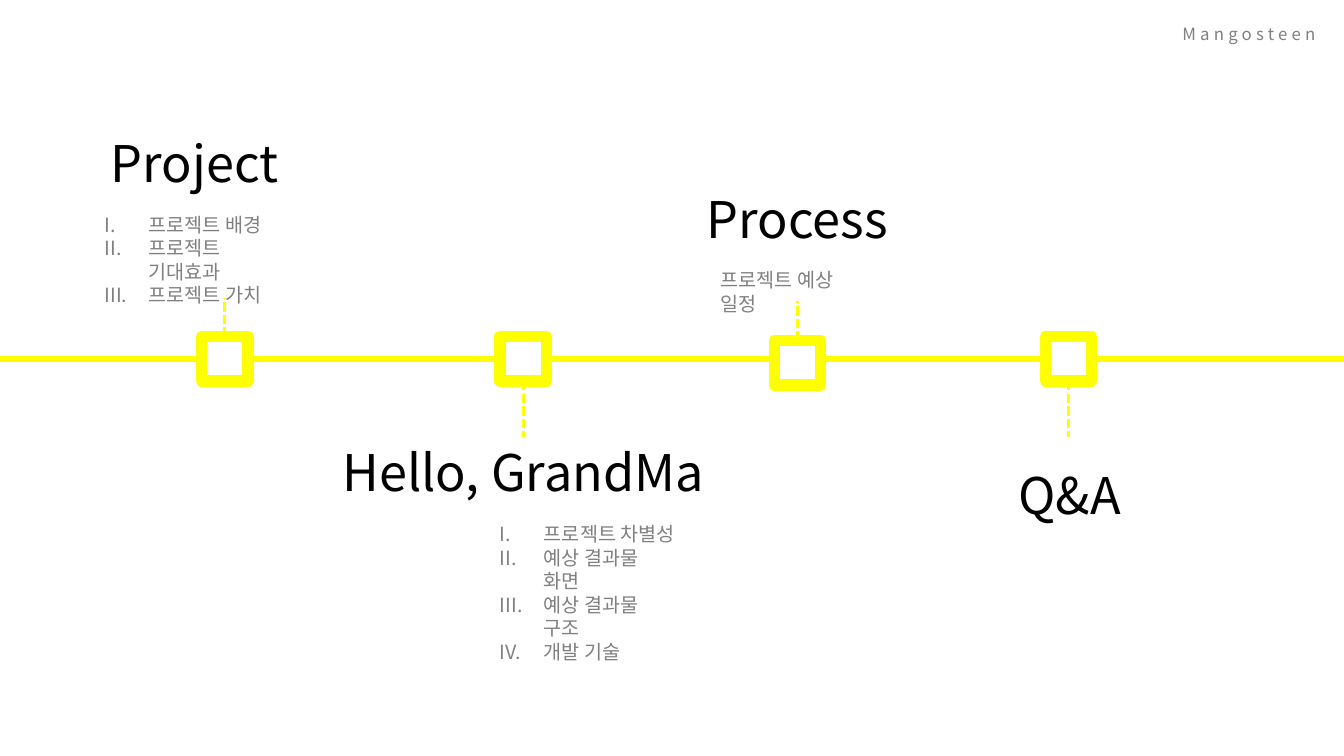
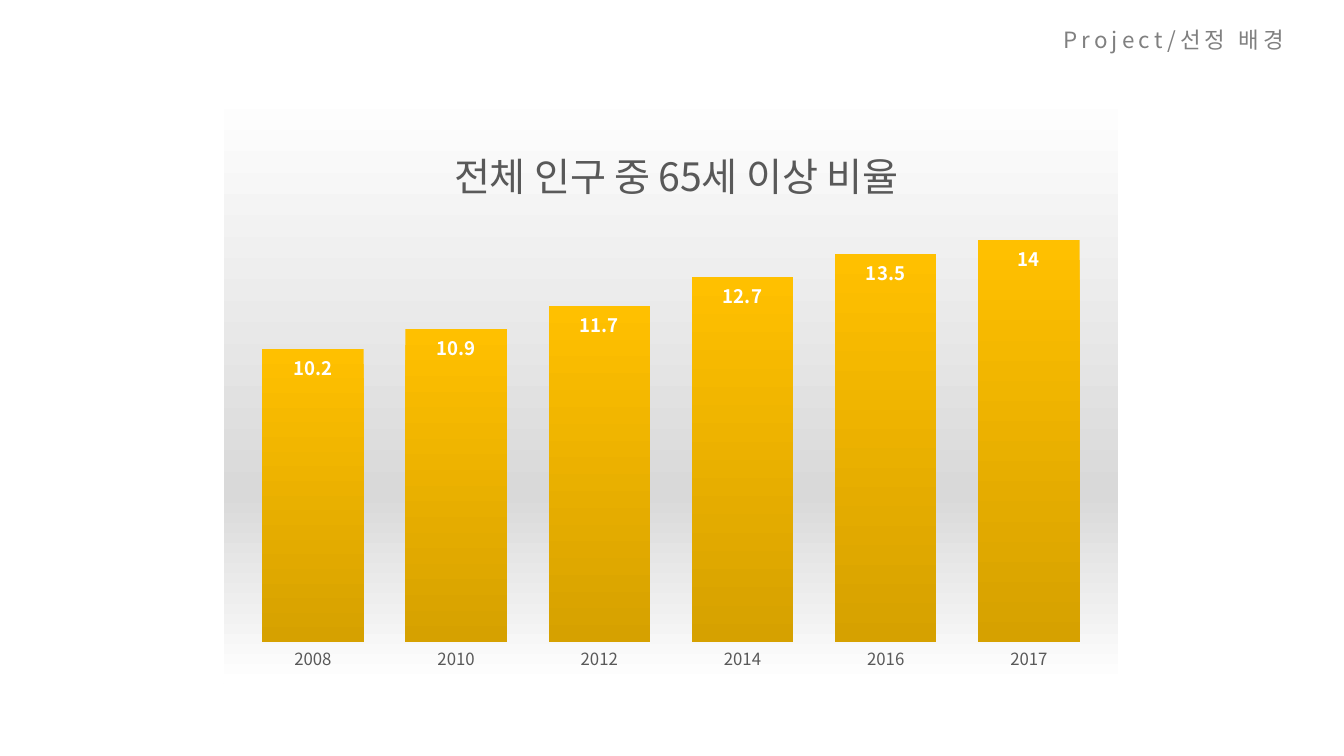
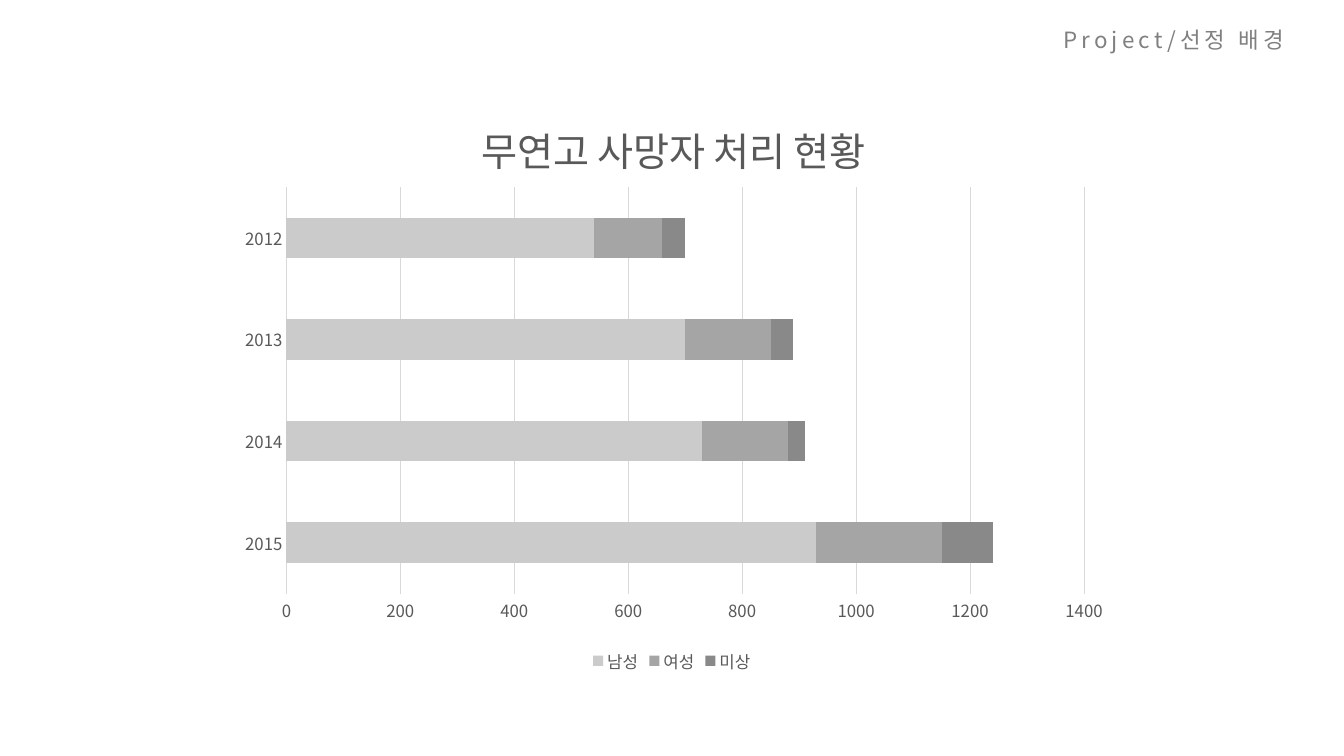
import pptx
import pptx.util
import pptx.chart.data
import pptx.dml.color
import pptx.enum.chart
import pptx.enum.dml
import pptx.enum.shapes
import pptx.enum.text
import pptx.oxml
import pptx.oxml.ns
from lxml import etree

Pt = pptx.util.Pt
qn = pptx.oxml.ns.qn
kinds = pptx.enum.chart
face = "Noto Sans CJK KR"
hues = {
    "white": "FFFFFF", "black": "000000", "gray": "808080", "sun": "FFFF00",
    "ink": "595959", "rule": "D9D9D9", "gold": "FFC000", "ochre": "D6A100",
    "pale": "CBCBCB", "mid": "A5A5A5", "dark": "898989",
}
tint = {name: pptx.dml.color.RGBColor.from_string(hue) for name, hue in hues.items()}

deck = pptx.Presentation()
deck.slide_width = pptx.util.Inches(13.33)
deck.slide_height = pptx.util.Inches(7.5)
col = deck.slide_width / 100
row = deck.slide_height / 100
slides = [deck.slides.add_slide(deck.slide_layouts[6]) for _ in range(3)]
center = pptx.enum.text.PP_ALIGN.CENTER


def write(slide, area, lines, size, hue, align=None, wrap=False, roman=False, gap=None):
    x, y, wide, tall = area
    box = slide.shapes.add_textbox(int(x * col), int(y * row), int(wide * col), int(tall * row))
    frame = box.text_frame
    frame.word_wrap = wrap
    for num, line in enumerate(lines):
        para = frame.paragraphs[0] if num == 0 else frame.add_paragraph()
        para.alignment = align
        if roman:
            props = para._p.get_or_add_pPr()
            props.set("marL", "400050")
            props.set("indent", "-400050")
            etree.SubElement(props, qn("a:buAutoNum"), type="romanUcPeriod")
        run = para.add_run()
        run.text = line
        run.font.name = face
        run.font.size = Pt(size)
        run.font.color.rgb = tint[hue]
        if gap:
            run._r.get_or_add_rPr().set("spc", str(gap * 100))


def draw(slide, x, y, end, base, width, dash=None):
    line = slide.shapes.add_connector(
        pptx.enum.shapes.MSO_CONNECTOR.STRAIGHT,
        int(x * col), int(y * row), int(end * col), int(base * row))
    line.line.color.rgb = tint["sun"]
    line.line.width = Pt(width)
    line.line.dash_style = dash
    etree.SubElement(line.element.spPr, qn("a:effectLst"))


write(slides[0], (86.93, 2.53, 12, 4), ["Mangosteen"], 12, "gray", center, gap=3)
for slide in slides[1:]:
    write(slide, (77.55, 2.8, 19.58, 4.93), ["Project/선정 배경"], 16, "gray", center, gap=3)

plan = slides[0]
draw(plan, 0, 47.47, 100, 47.47, 4.5)
side, high = 3.45, 5.87
stops = [
    (16.73, 44.53, 39.47, "Project", (7.35, 16.8, 14.25, 9.47),
     ["프로젝트 배경", "프로젝트 기대효과", "프로젝트 가치"], (7.05, 27.47, 15, 10.8)),
    (38.93, 44.53, 57.87, "Hello, GrandMa", (24.68, 57.73, 28.5, 9.47),
     ["프로젝트 차별성", "예상 결과물 화면", "예상 결과물 구조", "개발 기술"],
     (36.45, 68.4, 14.63, 13.87)),
    (59.33, 45.07, 39.87, "Process", (51.38, 24.27, 15.9, 9.47),
     ["프로젝트 예상 일정"], (52.88, 34.8, 12.38, 7.6)),
    (79.5, 44.53, 57.87, "Q&A", (74.93, 60.67, 9.3, 9.47), [], None),
]
for mid, top, tip, head, spot, items, area in stops:
    write(plan, spot, [head], 36, "black", center)
    if items:
        write(plan, area, items, 14, "gray", wrap=True, roman=len(items) > 1)
    node = plan.shapes.add_shape(
        pptx.enum.shapes.MSO_SHAPE.RECTANGLE,
        int((mid - side / 2) * col), int(top * row), int(side * col), int(high * row))
    node.shadow.inherit = False
    node.fill.solid()
    node.fill.fore_color.rgb = tint["white"]
    node.line.color.rgb = tint["sun"]
    node.line.width = Pt(8)
    draw(plan, mid, top if tip < top else top + high, mid, tip, 2.25,
         pptx.enum.dml.MSO_LINE.SQUARE_DOT)

specs = [
    dict(kind="COLUMN_CLUSTERED", title="전체 인구 중 65세 이상 비율", at=(16.58, 11.47),
         cats=["2008", "2010", "2012", "2014", "2016", "2017"],
         rows=[("Series 1", [10.2, 10.9, 11.7, 12.7, 13.5, 14], "gold")],
         gap=41, top=16, step=2, head=(0.25, 0.08), plot=(0.02, 0.16, 0.96, 0.77)),
    dict(kind="BAR_STACKED", title="무연고 사망자 처리 현황", at=(16.65, 10.53),
         cats=["2015", "2014", "2013", "2012"],
         rows=[("남성", [930, 730, 700, 540], "pale"),
               ("여성", [220, 150, 150, 120], "mid"),
               ("미상", [90, 30, 40, 40], "dark")],
         gap=150, top=1400, step=200, head=(0.28, 0.05), plot=(0.07, 0.18, 0.89, 0.68)),
]
charts = []
for slide, spec in zip(slides[1:], specs):
    data = pptx.chart.data.CategoryChartData()
    data.categories = spec["cats"]
    for name, vals, hue in spec["rows"]:
        data.add_series(name, vals)
    x, y = spec["at"]
    chart = slide.shapes.add_chart(
        kinds.XL_CHART_TYPE[spec["kind"]], int(x * col), int(y * row),
        int(66.68 * col), int(79.07 * row), data).chart
    charts.append(chart)
    chart.font.name = face
    chart.font.size = Pt(10)
    chart.font.color.rgb = tint["black"]
    chart.has_title = True
    run = chart.chart_title.text_frame.paragraphs[0].add_run()
    run.text = spec["title"]
    run.font.name = face
    run.font.size = Pt(28)
    run.font.bold = False
    run.font.color.rgb = tint["ink"]
    chart.chart_title.include_in_layout = False

    stack = len(spec["rows"]) > 1
    plot = chart.plots[0]
    plot.gap_width = spec["gap"]
    plot.vary_by_categories = False
    plot.overlap = 100 if stack else 0
    for axis in (chart.category_axis, chart.value_axis):
        axis.major_tick_mark = kinds.XL_TICK_MARK.NONE
        axis.minor_tick_mark = kinds.XL_TICK_MARK.NONE
        axis.tick_labels.font.name = face
        axis.tick_labels.font.size = Pt(12)
        axis.tick_labels.font.color.rgb = tint["ink"]
        axis.format.line.fill.background()
    scale = chart.value_axis
    scale.minimum_scale = 0
    scale.maximum_scale = spec["top"]
    scale.major_unit = spec["step"]
    scale.has_major_gridlines = stack
    scale.visible = stack
    chart.has_legend = stack
    for bar, (name, vals, hue) in zip(plot.series, spec["rows"]):
        bar.format.fill.solid()
        bar.format.fill.fore_color.rgb = tint[hue]
    if stack:
        for line in (scale.major_gridlines.format.line, chart.category_axis.format.line):
            line.color.rgb = tint["rule"]
            line.width = Pt(0.75)
        legend = chart.legend
        legend.position = kinds.XL_LEGEND_POSITION.BOTTOM
        legend.include_in_layout = False
        legend.font.name = face
        legend.font.size = Pt(12)
        legend.font.color.rgb = tint["ink"]

    root = chart.element.find(qn("c:chart"))
    for owner, mode, vals in (("c:title", None, spec["head"]),
                              ("c:plotArea", "inner", spec["plot"])):
        host = root.find(qn(owner))
        old = host.find(qn("c:layout"))
        if old is not None:
            host.remove(old)
        place = etree.Element(qn("c:layout"))
        inner = etree.SubElement(place, qn("c:manualLayout"))
        if mode:
            etree.SubElement(inner, qn("c:layoutTarget"), val=mode)
        for key in ("xMode", "yMode"):
            etree.SubElement(inner, qn("c:" + key), val="edge")
        for key, val in zip("xywh", vals):
            etree.SubElement(inner, qn("c:" + key), val=str(val))
        host.insert(1 if owner == "c:title" else 0, place)

chart = charts[0]
bar = chart.plots[0].series[0]
fill = bar.format.fill
fill.gradient()
fill.gradient_angle = 270
for stop, hue, share in zip(fill.gradient_stops, ("gold", "ochre"), (0, 1)):
    stop.color.rgb = tint[hue]
    stop.position = share
marks = bar.data_labels
marks.show_value = True
marks.position = kinds.XL_LABEL_POSITION.INSIDE_END
marks.font.name = face
marks.font.size = Pt(13.3)
marks.font.bold = True
marks.font.color.rgb = tint["white"]

back = etree.Element(qn("c:spPr"))
grad = etree.SubElement(back, qn("a:gradFill"))
band = etree.SubElement(grad, qn("a:gsLst"))
for share, hue in ((0, "white"), (68, "rule"), (100, "white")):
    stop = etree.SubElement(band, qn("a:gs"), pos=str(share * 1000))
    etree.SubElement(stop, qn("a:srgbClr"), val=hues[hue])
etree.SubElement(grad, qn("a:lin"), ang="5400000", scaled="0")
edge = etree.SubElement(back, qn("a:ln"), w=str(Pt(0.75)))
paint = etree.SubElement(edge, qn("a:solidFill"))
etree.SubElement(paint, qn("a:srgbClr"), val=hues["white"])
chart.element.find(qn("c:chart")).addnext(back)

for part in slides + charts:
    for latin in list(part.element.iter(qn("a:latin"))):
        latin.addnext(etree.Element(qn("a:ea"), typeface=face))

deck.save("out.pptx")
